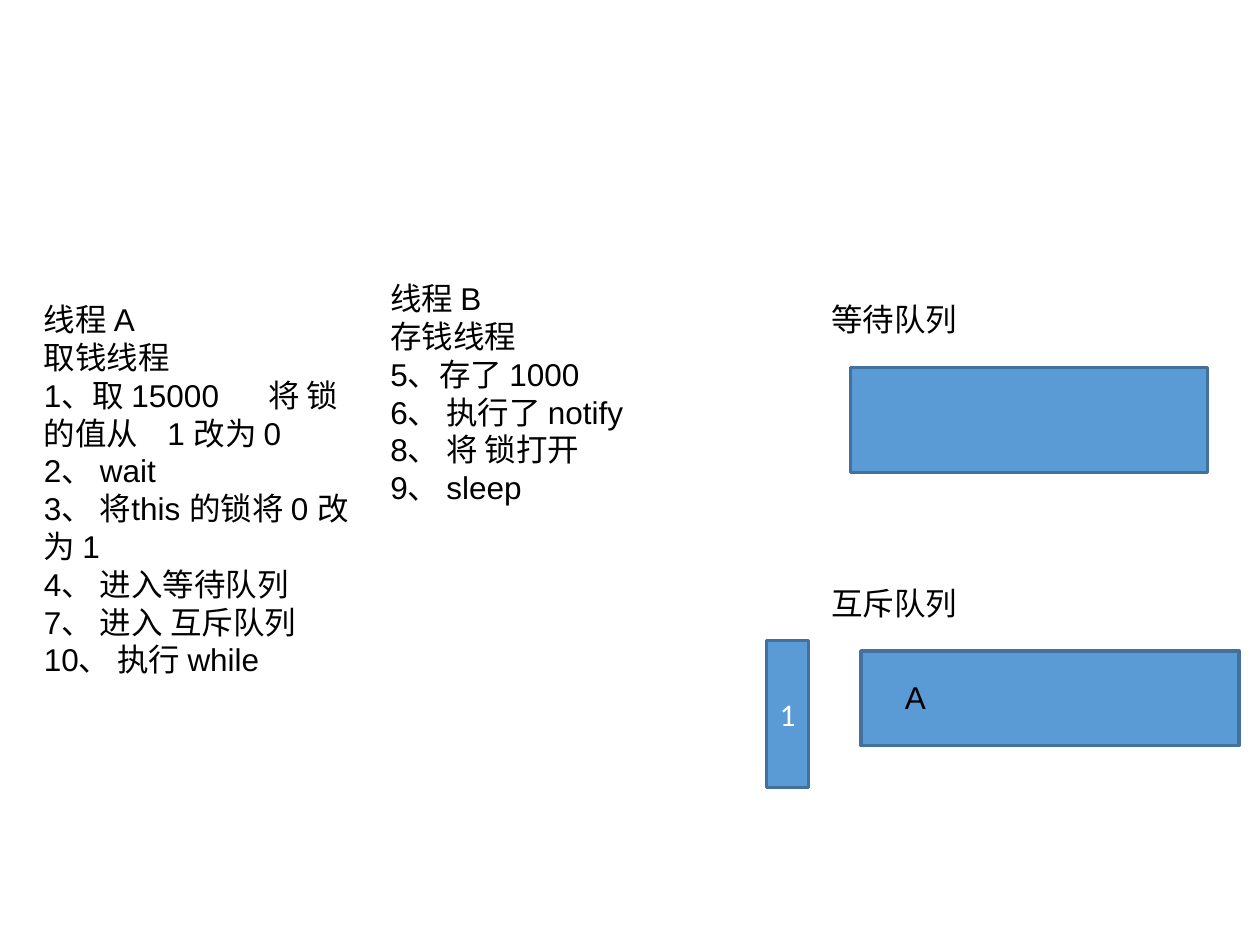
from dataclasses import dataclass

from lxml import etree
from pptx import Presentation
from pptx.dml.color import RGBColor
from pptx.enum.shapes import MSO_SHAPE
from pptx.enum.text import MSO_ANCHOR, MSO_AUTO_SIZE, PP_ALIGN
from pptx.oxml.ns import qn
from pptx.util import Inches, Pt

RECTANGLE = MSO_SHAPE.RECTANGLE
MIDDLE = MSO_ANCHOR.MIDDLE
CENTER = PP_ALIGN.CENTER
FIT_SHAPE = MSO_AUTO_SIZE.SHAPE_TO_FIT_TEXT
BLANK_LAYOUT = 6
GRID_COLUMNS, GRID_ROWS = 120, 90


@dataclass(frozen=True)
class Theme:
    fill: RGBColor = RGBColor(0x5B, 0x9B, 0xD5)
    outline: RGBColor = RGBColor(0x41, 0x71, 0x9C)
    text: RGBColor = RGBColor(0, 0, 0)
    inverse: RGBColor = RGBColor(0xFF, 0xFF, 0xFF)
    size: Pt = Pt(18)
    outline_width: Pt = Pt(2)
    text_font: str = "Arial"
    box_font: str = "Calibri"


@dataclass(frozen=True)
class Area:
    column: float
    row: float
    columns: float
    rows: float


@dataclass(frozen=True)
class Label:
    area: Area
    lines: tuple[str, ...]
    tab_stops: tuple[float, ...] = ()


@dataclass(frozen=True)
class Box:
    area: Area
    text: str = ""


THEME = Theme()
LABEL_FORMAT = {"name": THEME.text_font, "size": THEME.size}
BOX_FORMAT = {"name": THEME.box_font, "size": THEME.size}

THREADS = (
    Label(
        Area(3, 28, 32, 37.2),
        (
            "线程 A",
            "取钱线程",
            "1、取 15000\t将 锁 的值从\t1 改为 0",
            "2、 wait",
            "3、 将this 的锁将 0 改为 1",
            "4、 进入等待队列",
            "7、 进入 互斥队列",
            "10、 执行 while",
        ),
        (0.98, 1.78),
    ),
    Label(
        Area(36, 26, 36, 26.4),
        (
            "线程 B",
            "存钱线程",
            "5、存了 1000",
            "6、 执行了 notify",
            "8、 将 锁打开",
            "9、 sleep",
        ),
    ),
)
QUEUES = (Box(Area(81, 35, 34, 10)), Box(Area(82, 62, 36, 9)))
QUEUE_NAMES = (
    Label(Area(78, 28, 18, 4.8), ("等待队列",)),
    Label(Area(78, 55, 21, 4.8), ("互斥队列",)),
)
LOCK = Box(Area(73, 61, 4, 14), "1")
QUEUED_THREAD = Label(Area(85, 64, 9, 4.8), ("A",))


def place(presentation, area: Area) -> tuple[int, int, int, int]:
    column_width = presentation.slide_width / GRID_COLUMNS
    row_height = presentation.slide_height / GRID_ROWS
    return (
        round(area.column * column_width),
        round(area.row * row_height),
        round(area.columns * column_width),
        round(area.rows * row_height),
    )


def add_tab_stops(paragraph, stops: tuple[float, ...]) -> None:
    properties = paragraph._p.get_or_add_pPr()
    tab_list = etree.SubElement(properties, qn("a:tabLst"))
    for stop in stops:
        etree.SubElement(tab_list, qn("a:tab"), pos=str(Inches(stop)), algn="l")


def write(paragraph, text: str, font_format: dict, color: RGBColor) -> None:
    run = paragraph.add_run()
    run.text = text
    for name, value in font_format.items():
        setattr(run.font, name, value)
    run.font.color.rgb = color


def draw_label(presentation, slide, label: Label) -> None:
    shape = slide.shapes.add_textbox(*place(presentation, label.area))
    frame = shape.text_frame
    frame.word_wrap = True
    frame.auto_size = FIT_SHAPE
    for index, line in enumerate(label.lines):
        paragraph = frame.add_paragraph() if index else frame.paragraphs[0]
        if "\t" in line:
            add_tab_stops(paragraph, label.tab_stops)
        write(paragraph, line, LABEL_FORMAT, THEME.text)


def draw_box(presentation, slide, box: Box) -> None:
    shape = slide.shapes.add_shape(RECTANGLE, *place(presentation, box.area))
    shape.shadow.inherit = False
    shape.fill.solid()
    shape.fill.fore_color.rgb = THEME.fill
    shape.line.color.rgb = THEME.outline
    shape.line.width = THEME.outline_width
    if box.text:
        frame = shape.text_frame
        frame.vertical_anchor = MIDDLE
        paragraph = frame.paragraphs[0]
        paragraph.alignment = CENTER
        write(paragraph, box.text, BOX_FORMAT, THEME.inverse)


def main() -> None:
    presentation = Presentation()
    presentation.slide_width = Inches(10)
    presentation.slide_height = Inches(7.5)
    slide = presentation.slides.add_slide(presentation.slide_layouts[BLANK_LAYOUT])
    for thread in THREADS:
        draw_label(presentation, slide, thread)
    for queue in QUEUES:
        draw_box(presentation, slide, queue)
    for queue_name in QUEUE_NAMES:
        draw_label(presentation, slide, queue_name)
    draw_box(presentation, slide, LOCK)
    draw_label(presentation, slide, QUEUED_THREAD)
    presentation.save("out.pptx")


if __name__ == "__main__":
    main()
